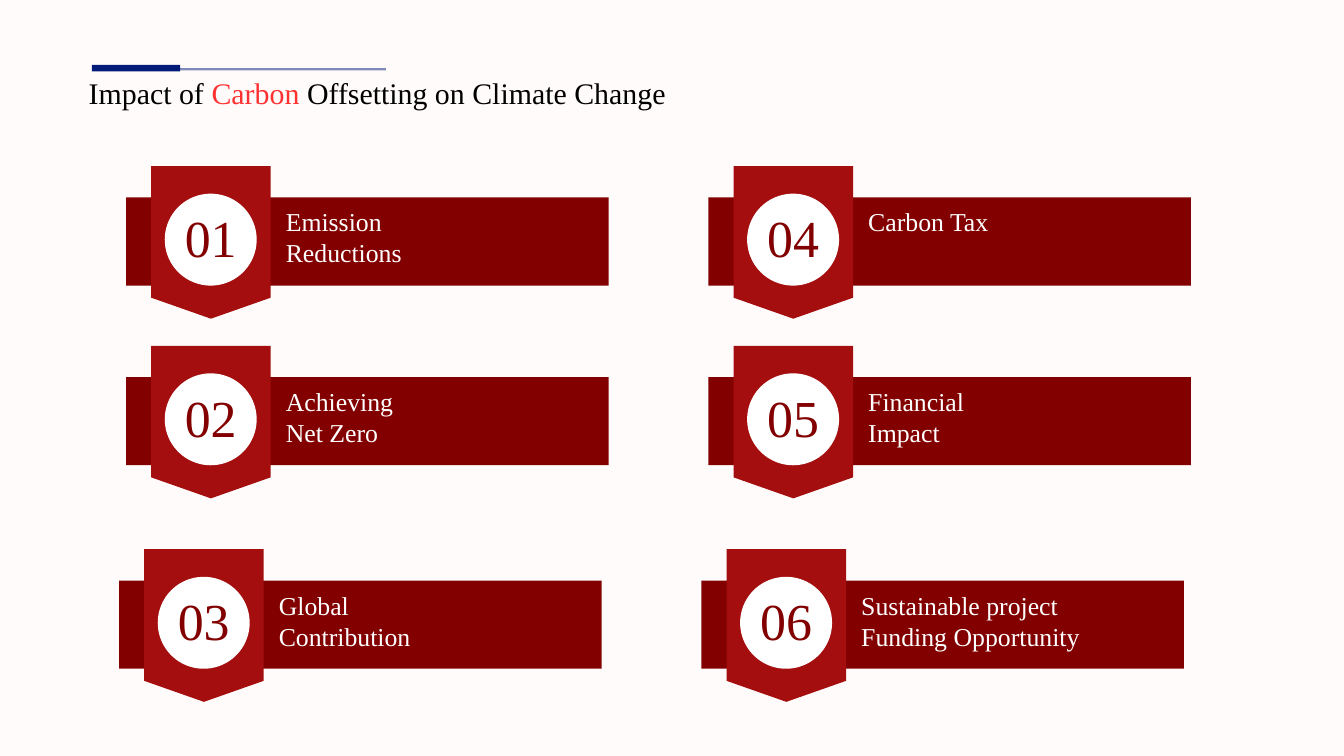
from dataclasses import dataclass

from lxml import etree
from pptx import Presentation
from pptx.dml.color import RGBColor
from pptx.enum import shapes, text
from pptx.oxml import ns
from pptx.util import Pt

COLORS = {
    "background": "FFFBFB",
    "navy": "021B79",
    "bar": "820000",
    "ribbon": "A40E0E",
    "white": "FFFFFF",
    "black": "000000",
    "accent": "FF3131",
}
FONT = "Times New Roman"
COLUMN_STEP = 624
ROWS = [(135, 211.5), (135, 404), (127.5, 622)]  # left and top of the first bar
BAR_WIDTH, BAR_HEIGHT = 517, 94.5


@dataclass
class Card:
    number: str
    label: str
    label_width: float


CARDS = [
    Card("01", "Emission Reductions", 226.5),
    Card("02", "Achieving Net Zero", 160),
    Card("03", "Global Contribution", 160),
    Card("04", "Carbon Tax", 140),
    Card("05", "Financial Impact", 160),
    Card("06", "Sustainable project Funding Opportunity", 293),
]


def paint(sp, color: str) -> None:
    sp.shadow.inherit = False
    sp.fill.solid()
    sp.fill.fore_color.rgb = RGBColor.from_string(COLORS[color])
    sp.line.fill.background()


def add_preset(s, kind, x: float, y: float, w: float, h: float, color: str):
    sp = s.shapes.add_shape(kind, Pt(x), Pt(y), Pt(w), Pt(h))
    paint(sp, color)
    return sp


def add_ribbon(s, x: float, y: float) -> None:
    """Draw a vertical banner with a pointed lower end."""
    width, shoulder, height = 128, 141, 163.5
    outline = s.shapes.build_freeform(Pt(x), Pt(y))
    outline.add_line_segments([
        (Pt(x + width), Pt(y)),
        (Pt(x + width), Pt(y + shoulder)),
        (Pt(x + width / 2), Pt(y + height)),
        (Pt(x), Pt(y + shoulder)),
    ], close=True)
    paint(outline.convert_to_shape(), "ribbon")


def write(sp, runs: list[tuple[str, str]], size: float, spacing: float,
          align=text.PP_ALIGN.LEFT) -> None:
    """Fill a frame without insets with (wording, color) runs."""
    tf = sp.text_frame
    tf.word_wrap = True
    tf.auto_size = text.MSO_AUTO_SIZE.NONE
    tf.vertical_anchor = text.MSO_ANCHOR.TOP
    tf.margin_left = tf.margin_top = tf.margin_right = tf.margin_bottom = 0
    p = tf.paragraphs[0]
    p.alignment = align
    p.line_spacing = Pt(spacing)
    p.space_before = Pt(0)
    for wording, color in runs:
        r = p.add_run()
        r.text = wording
        r.font.name = FONT
        r.font.size = Pt(size)
        r.font.color.rgb = RGBColor.from_string(COLORS[color])


def add_title(s) -> None:
    title = s.shapes.title
    title.left, title.top, title.width, title.height = Pt(95), Pt(85), Pt(656.5), Pt(39.5)
    write(title, [("Impact of ", "black"), ("Carbon", "accent"),
                  (" Offsetting on Climate Change", "black")], 32, 33.6)


def add_rule(s) -> None:
    """Draw the thin half-transparent line and its thick start."""
    rectangle = shapes.MSO_SHAPE.RECTANGLE
    thin = add_preset(s, rectangle, 180, 73, 233.5, 2.4, "navy")
    color = thin.fill._xPr.find(".//" + ns.qn("a:srgbClr"))
    etree.SubElement(color, ns.qn("a:alpha"), val="50000")
    add_preset(s, rectangle, 98.5, 69.5, 94.5, 7, "navy")


def add_card(s, card: Card, x: float, y: float) -> None:
    add_preset(s, shapes.MSO_SHAPE.RECTANGLE, x, y, BAR_WIDTH, BAR_HEIGHT, "bar")
    add_ribbon(s, x + 27, y - 33.5)
    add_preset(s, shapes.MSO_SHAPE.OVAL, x + 41.5, y - 4, 98.5, 98.5, "white")
    number = s.shapes.add_textbox(Pt(x + 51.5), Pt(y - 2), Pt(78.5), Pt(84))
    write(number, [(card.number, "bar")], 55.6, 77.8, text.PP_ALIGN.CENTER)
    label = s.shapes.add_textbox(Pt(x + 171.25), Pt(y + 9.5), Pt(card.label_width), Pt(71))
    write(label, [(card.label, "white")], 27.6, 33.1)


def main() -> None:
    prs = Presentation()
    prs.slide_width, prs.slide_height = Pt(1440), Pt(810)
    s = prs.slides.add_slide(prs.slide_layouts.get_by_name("Title Only"))
    s.background.fill.solid()
    s.background.fill.fore_color.rgb = RGBColor.from_string(COLORS["background"])
    add_title(s)
    add_rule(s)
    for i, card in enumerate(CARDS):
        column, row = divmod(i, len(ROWS))
        left, top = ROWS[row]
        add_card(s, card, left + column * COLUMN_STEP, top)
    prs.save("out.pptx")


if __name__ == "__main__":
    main()
